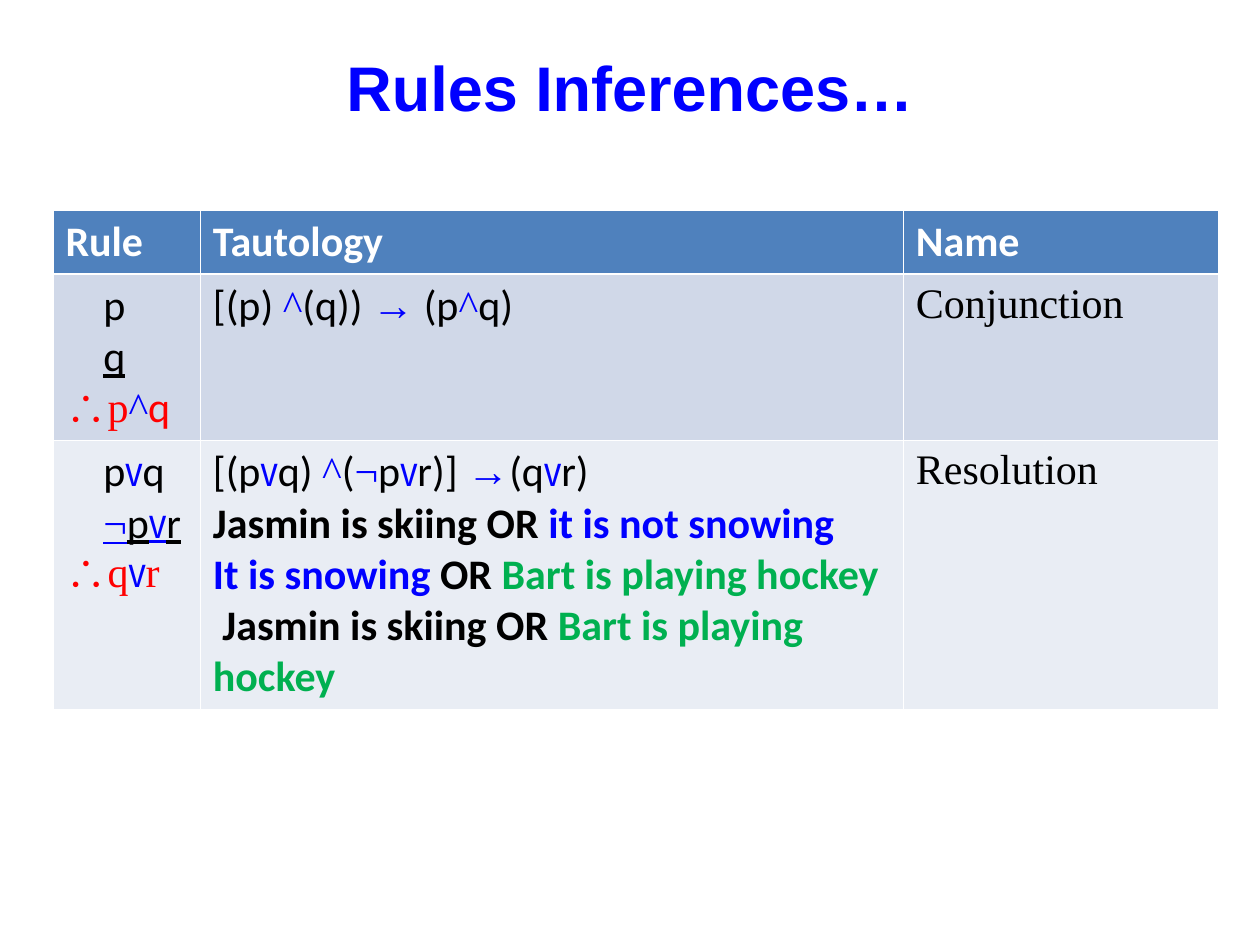
from itertools import groupby

from lxml import etree
from pptx import Presentation
from pptx.dml.color import RGBColor
from pptx.enum.text import MSO_ANCHOR, PP_ALIGN
from pptx.oxml.ns import qn
from pptx.util import Inches, Pt

CENTER = PP_ALIGN.CENTER
MIDDLE = MSO_ANCHOR.MIDDLE

COLORS = {
    "blue": "0000FF", "red": "FF0000", "green": "00B050",
    "black": "000000", "white": "FFFFFF",
    "header": "4F81BD", "band1": "D0D8E8", "band2": "E9EDF4",
}
SERIF = "Times New Roman"
SYMBOLS = {
    "^": {"font": SERIF, "color": "blue"},
    "¬": {"font": SERIF, "color": "blue"},
    "→": {"font": SERIF, "color": "blue"},
    "v": {"font": "Arial Narrow", "color": "blue"},
    "∴": {"font": "Arial", "color": "red"},
}
THIN, THICK = 0.45, 1.47
INDENT = Inches(0.3)


def add_run(p, text, font="Calibri", size=24, color="black", bold=False, underline=False):
    """Add one formatted run to a paragraph."""
    r = p.add_run()
    r.text = text
    r.font.name = font
    r.font.size = Pt(size)
    r.font.bold = bold
    r.font.underline = underline
    r.font.color.rgb = RGBColor.from_string(COLORS[color])


def formula(text, **fmt):
    """Split a logical formula into runs, giving each symbol its own style."""
    return [("".join(chars), {**fmt, **style})
            for style, chars in groupby(text, lambda c: SYMBOLS.get(c, {}))]


def sentence(*parts):
    """Make bold runs from (text, color) pairs."""
    return [(text, {"color": color, "bold": True}) for text, color in parts]


def add_tab_stop(p, pos):
    """Give a paragraph one left tab stop."""
    tabs = etree.SubElement(p._p.get_or_add_pPr(), qn("a:tabLst"))
    etree.SubElement(tabs, qn("a:tab"), pos=str(pos), algn="l")


def set_borders(cell, top, bottom):
    """Draw white borders around a cell, with widths in points."""
    tcPr = cell._tc.get_or_add_tcPr()
    for side, width in (("L", THIN), ("R", THIN), ("T", top), ("B", bottom)):
        ln = etree.SubElement(tcPr, qn(f"a:ln{side}"), w=str(Pt(width)))
        fill = etree.SubElement(ln, qn("a:solidFill"))
        etree.SubElement(fill, qn("a:srgbClr"), val=COLORS["white"])


def fill_cell(cell, lines, fill, top, bottom):
    """Write lines of runs into a cell and format it."""
    set_borders(cell, top, bottom)
    cell.fill.solid()
    cell.fill.fore_color.rgb = RGBColor.from_string(COLORS[fill])
    tf = cell.text_frame
    for i, runs in enumerate(lines):
        p = tf.paragraphs[0] if i == 0 else tf.add_paragraph()
        if runs[0][0].startswith("\t"):
            add_tab_stop(p, INDENT)
        for text, fmt in runs:
            add_run(p, text, **fmt)


def add_title(s, text, left, top, width, height):
    """Place and format the slide title."""
    title = s.shapes.title
    title.left, title.top, title.width, title.height = left, top, width, height
    tf = title.text_frame
    tf.vertical_anchor = MIDDLE
    p = tf.paragraphs[0]
    p.alignment = CENTER
    add_run(p, text, font="Arial", size=36, color="blue", bold=True)


def add_rules_table(s, rows, left, top, col_widths, row_heights):
    """Build the table of inference rules."""
    table = s.shapes.add_table(len(rows), len(col_widths), left, top,
                               sum(col_widths), sum(row_heights)).table
    for col, width in zip(table.columns, col_widths):
        col.width = width
    for row, height in zip(table.rows, row_heights):
        row.height = height
    edges = [THIN, THICK, THIN, THIN]
    for i, (fill, cells) in enumerate(rows):
        for j, lines in enumerate(cells):
            fill_cell(table.cell(i, j), lines, fill, edges[i], edges[i + 1])


def main():
    """Build the slide and save it."""
    prs = Presentation()
    prs.slide_width, prs.slide_height = Inches(10), Inches(7.5)
    s = prs.slides.add_slide(prs.slide_layouts[5])
    add_title(s, "Rules Inferences…", Inches(0.5), Inches(0.42), Inches(9), Inches(0.53))

    header = [[sentence((name, "white"))] for name in ("Rule", "Tautology", "Name")]
    conjunction = [
        [formula("\tp"),
         formula("\tq", underline=True),
         formula("∴p^", font=SERIF, color="red") + formula("q", color="red")],
        [formula("[(p) ^(q)) → (p^q)")],
        [[("Conjunction", {"font": SERIF})]],
    ]
    resolution = [
        [formula("\tpvq"),
         formula("\t¬pvr", underline=True),
         formula("∴qvr", font=SERIF, color="red")],
        [formula("[(pvq) ^(¬pvr)] →(qvr)"),
         sentence(("Jasmin is skiing OR ", "black"), ("it is not snowing", "blue")),
         sentence(("It is snowing", "blue"), (" OR ", "black"),
                  ("Bart is playing hockey", "green")),
         sentence((" Jasmin is skiing OR ", "black"), ("Bart is playing hockey", "green"))],
        [[("Resolution", {"font": SERIF})]],
    ]
    rows = [("header", header), ("band1", conjunction), ("band2", resolution)]
    add_rules_table(s, rows, Inches(0.42), Inches(1.67),
                    [Inches(w) for w in (1.17, 5.58, 2.5)],
                    [Inches(h) for h in (0.5, 1.3, 2.1)])
    prs.save("out.pptx")


if __name__ == "__main__":
    main()
